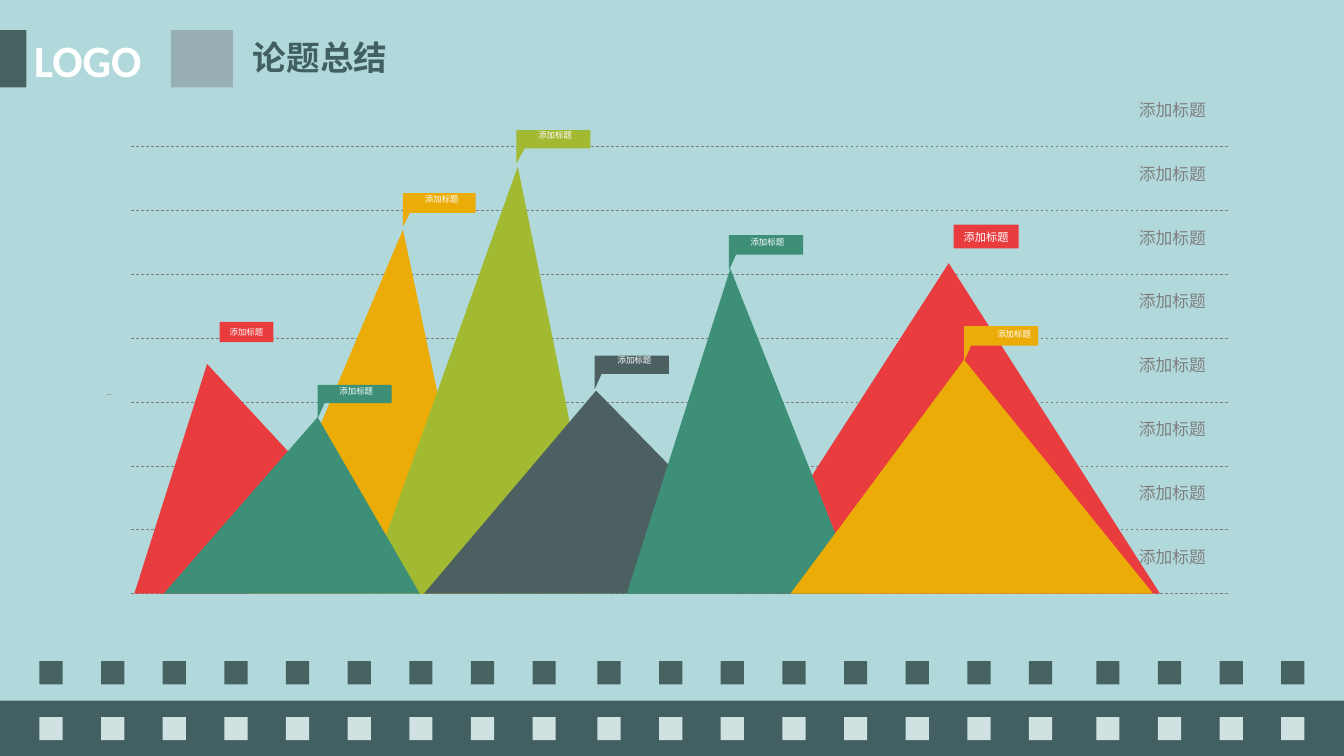
from dataclasses import dataclass

from lxml.etree import SubElement
from pptx import Presentation
from pptx.dml.color import RGBColor
from pptx.enum.dml import MSO_LINE
from pptx.enum.shapes import MSO_CONNECTOR, MSO_SHAPE
from pptx.enum.text import MSO_ANCHOR, MSO_AUTO_SIZE, PP_ALIGN
from pptx.oxml.ns import qn
from pptx.util import Pt


@dataclass(frozen=True)
class Theme:
    sky: str = "B1D9DC"
    ground: str = "426062"
    stud: str = "466261"
    pale: str = "CFE1E1"
    block: str = "98B0B5"
    tick: str = "918982"
    grey: str = "7F7F7F"
    white: str = "FFFFFF"
    red: str = "E93C3F"
    orange: str = "EBAC07"
    lime: str = "A2B932"
    slate: str = "4C6062"
    teal: str = "3D9077"
    latin: str = "Calibri"
    cjk: str = "Noto Sans CJK SC"
    logo_size: int = 32
    title_size: int = 24
    scale_size: int = 12
    tag_size: int = 8
    flag_size: int = 6


T = Theme()

# Content: all positions in points
TITLE = "论题总结"
LOGO = "LOGO"
LABEL = "添加标题"
SCALE_LABELS = [LABEL] * 8
BASE = 424.1
# apex x, apex y, base left, base right, colour; back to front
PEAKS = [
    (678.2, 187.9, 525.6, 828.7, T.red),
    (148.3, 259.9, 96.5, 299.5, T.red),
    (287.5, 164.2, 177.8, 343.4, T.orange),
    (370.1, 119, 261.4, 431.8, T.lime),
    (426.5, 278.6, 303.3, 568, T.slate),
    (521.5, 192.4, 448, 613.5, T.teal),
    (689.3, 257, 564.8, 823.7, T.orange),
    (227.1, 298.3, 117.4, 300.3, T.teal),
]
# flag left, flag top, centre of label x, centre of label y, text, colour
FLAGS = [
    (287.5, 138.2, 315.7, 142.6, LABEL, T.orange),
    (369.4, 92.7, 396.7, 96.6, LABEL, T.lime),
    (689.2, 233.3, 724.7, 238.4, LABEL, T.orange),
    (425, 254, 453.4, 257.2, LABEL, T.slate),
    (521, 168.4, 548.4, 172.8, LABEL, T.teal),
    (227.1, 275, 254.6, 279.4, LABEL, T.teal),
]
# left, top, width, height, text, type size
TAGS = [
    (157, 229.9, 38.3, 14.5, LABEL, T.flag_size),
    (681.5, 160.4, 46.5, 17.1, LABEL, T.tag_size),
]
FLAG_SHAPE = [(52.5, 0), (0, 0), (0, 24.3), (5.3, 13.3), (52.5, 13.3)]
STUD_RUNS = [(28.2, 9), (427, 8), (783.5, 4)]  # first left, count
STUD_STEP, STUD_SIZE = 44.05, 16.6
STUD_ROWS = [(472.2, T.stud), (512.2, T.pale)]
GRID_LEFT, GRID_RIGHT, GRID_TOP = 93.6, 877.7, 104.5
GRID_STEP = (BASE - GRID_TOP) / (len(SCALE_LABELS) - 1)


def rgb(value):
    return RGBColor.from_string(value)


def paint(sp, colour):
    sp.shadow.inherit = False
    sp.fill.solid()
    sp.fill.fore_color.rgb = rgb(colour)
    sp.line.fill.background()
    return sp


def rect(left, top, width, height, colour):
    sp = s.shapes.add_shape(MSO_SHAPE.RECTANGLE, Pt(left), Pt(top), Pt(width), Pt(height))
    return paint(sp, colour)


def outline(points, colour):
    builder = s.shapes.build_freeform(*points[0], scale=Pt(1))
    builder.add_line_segments(points[1:], close=True)
    return paint(builder.convert_to_shape(), colour)


def write(sp, text, size, colour, align=PP_ALIGN.CENTER, bold=False, font=T.cjk):
    tf = sp.text_frame
    tf.auto_size = MSO_AUTO_SIZE.NONE
    tf.word_wrap = False
    tf.vertical_anchor = MSO_ANCHOR.MIDDLE
    tf.margin_left = tf.margin_right = Pt(7.2)
    tf.margin_top = tf.margin_bottom = Pt(3.6)
    p = tf.paragraphs[0]
    p.alignment = align
    p.line_spacing = 1.0
    r = p.add_run()
    r.text = text
    r.font.size = Pt(size)
    r.font.bold = bold
    r.font.color.rgb = rgb(colour)
    r.font.name = font
    SubElement(r._r.get_or_add_rPr(), qn("a:ea")).set("typeface", font)


def label(left, top, width, height, *args, **kwargs):
    box = s.shapes.add_textbox(Pt(left), Pt(top), Pt(width), Pt(height))
    write(box, *args, **kwargs)


def grid_line(y):
    line = s.shapes.add_connector(MSO_CONNECTOR.STRAIGHT, Pt(GRID_LEFT), Pt(y), Pt(GRID_RIGHT), Pt(y))
    line.line.color.rgb = rgb(T.grey)
    line.line.width = Pt(0.5)
    line.line.dash_style = MSO_LINE.DASH
    SubElement(line._element.spPr, qn("a:effectLst"))


prs = Presentation()
prs.slide_width, prs.slide_height = Pt(960.5), Pt(540)
s = prs.slides.add_slide(prs.slide_layouts[5])
s.background.fill.solid()
s.background.fill.fore_color.rgb = rgb(T.sky)

# Ground band and rows of studs
rect(0, 500.4, 960.5, 39.6, T.ground)
for top, colour in STUD_ROWS:
    for first, count in STUD_RUNS:
        for i in range(count):
            rect(first + i * STUD_STEP, top, STUD_SIZE, STUD_SIZE, colour)

# Header
rect(0, 21.5, 19, 41, T.stud)
label(17.3, 19.4, 110, 46, LOGO, T.logo_size, T.white, PP_ALIGN.LEFT, bold=True, font=T.latin)
rect(122.2, 21.5, 44.2, 41, T.block)
title = s.shapes.title
title.left, title.top, title.width, title.height = Pt(173.5), Pt(23), Pt(119.5), Pt(36)
write(title, TITLE, T.title_size, T.ground, PP_ALIGN.LEFT, bold=True)

# Grid lines
for i in range(len(SCALE_LABELS)):
    grid_line(GRID_TOP + i * GRID_STEP)
rect(76.5, 281.5, 2.9, 0.3, T.tick)

# Mountains
for x, y, left, right, colour in PEAKS:
    outline([(x, y), (left, BASE), (right, BASE)], colour)

# Flags and tags
for left, top, x, y, text, colour in FLAGS:
    outline([(left + dx, top + dy) for dx, dy in FLAG_SHAPE], colour)
    label(x - 19, y - 7.25, 38, 14.5, text, T.flag_size, T.white)
for left, top, width, height, text, size in TAGS:
    write(rect(left, top, width, height, T.red), text, size, T.white)

# Scale labels above the grid lines
for i, text in enumerate(SCALE_LABELS):
    label(807, GRID_TOP + i * GRID_STEP - 37.2, 62, 21.8, text, T.scale_size, T.grey, PP_ALIGN.RIGHT)

prs.save("out.pptx")
